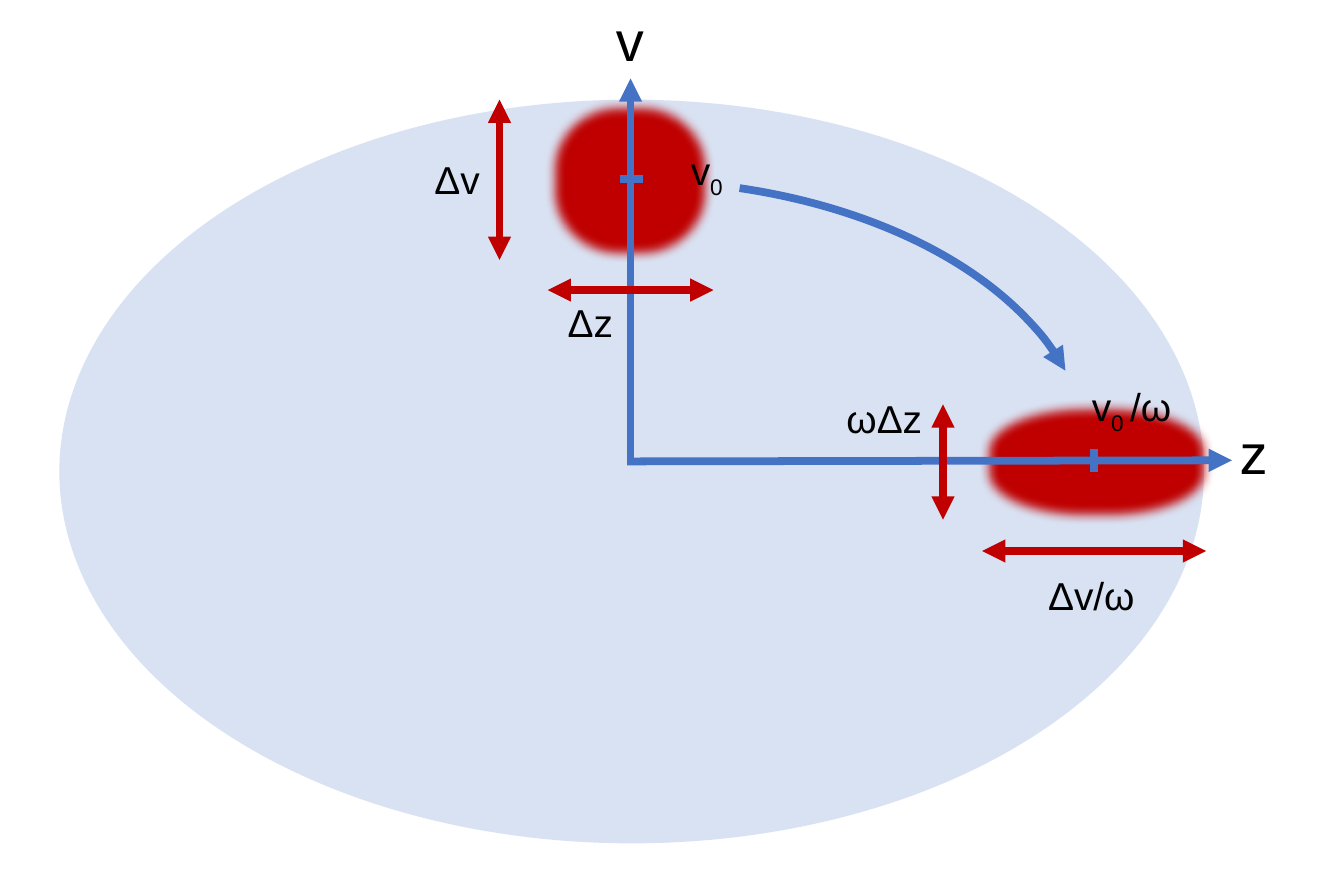
"""Phase-space slide: a particle cloud turning from the v axis to the z axis."""
from lxml import etree
from pptx import Presentation
from pptx.dml.color import RGBColor
from pptx.enum.shapes import MSO_CONNECTOR, MSO_SHAPE
from pptx.oxml.ns import qn
from pptx.util import Inches, Pt

COLUMNS, ROWS = 12, 8
BLUE, RED, BLACK = "4472C4", "C00000", "000000"
LINE_WIDTH = 5
GLOW = 0.2
ARC_UNITS_PER_DEGREE = 0.6


def color(hex_string):
    """Turn a hex string into a colour."""
    return RGBColor.from_string(hex_string)


def cells(*counts):
    """Turn counts of one-inch grid cells into lengths."""
    return [Inches(count) for count in counts]


def add_child(parent, tag, **attributes):
    """Append a DrawingML element and return it."""
    return etree.SubElement(parent, qn(tag), attributes)


def style_line(line, hex_string, ends):
    """Set colour, width and triangular arrowheads of a line."""
    line.color.rgb = color(hex_string)
    line.width = Pt(LINE_WIDTH)
    for end in ends:
        add_child(line._get_or_add_ln(), f"a:{end}End", type="triangle")


def add_ellipse(slide, box, hex_string, opacity=None, glow=None):
    """Draw a borderless ellipse, optionally see-through or glowing."""
    shape = slide.shapes.add_shape(MSO_SHAPE.OVAL, *cells(*box))
    shape.fill.solid()
    shape.fill.fore_color.rgb = color(hex_string)
    shape.line.fill.background()
    shape.shadow.inherit = False
    properties = shape._element.spPr
    if opacity:
        fill = properties.find(f"{qn('a:solidFill')}/{qn('a:srgbClr')}")
        add_child(fill, "a:alpha", val=str(opacity * 1000))
    if glow:
        effects = properties.find(qn("a:effectLst"))
        halo = add_child(effects, "a:glow", rad=str(Inches(glow)))
        add_child(halo, "a:srgbClr", val=hex_string)


def add_arc_arrow(slide, box, start, end, hex_string):
    """Draw an arc between two angles in degrees, with an arrowhead at its end."""
    arc = slide.shapes.add_shape(MSO_SHAPE.ARC, *cells(*box))
    for index, angle in enumerate((start, end)):
        arc.adjustments[index] = angle * ARC_UNITS_PER_DEGREE
    arc.fill.background()
    style_line(arc.line, hex_string, ["tail"])
    arc.shadow.inherit = False


def add_line(slide, start, end, hex_string, ends=()):
    """Draw a straight line with the named arrowheads."""
    line = slide.shapes.add_connector(MSO_CONNECTOR.STRAIGHT, *cells(*start, *end))
    style_line(line.line, hex_string, ends)
    add_child(line._element.spPr, "a:effectLst")


def add_label(slide, box, parts, size, wrap=True):
    """Write a label whose every second part is a subscript."""
    frame = slide.shapes.add_textbox(*cells(*box)).text_frame
    frame.word_wrap = wrap
    for index, part in enumerate(parts):
        run = frame.paragraphs[0].add_run()
        run.text = part
        run.font.size = Pt(size)
        run.font.name = "Arial"
        run.font.color.rgb = color(BLACK)
        if index % 2:
            run._r.get_or_add_rPr().set("baseline", "-25000")


def main():
    """Build and save the slide."""
    deck = Presentation()
    deck.slide_width, deck.slide_height = cells(COLUMNS, ROWS)
    slide = deck.slides.add_slide(deck.slide_layouts[6])

    add_ellipse(slide, (0.53, 0.89, 10.22, 6.64), BLUE, opacity=20)
    for cloud in ((8.94, 3.76, 1.7, 0.73), (5.06, 1.07, 1.13, 1.08)):
        add_ellipse(slide, cloud, RED, glow=GLOW)
    add_arc_arrow(slide, (1.56, 1.61, 8.17, 5.01), 291.5, 348.24, BLUE)

    spread_v, spread_z = ((4.46, 0.89), (4.46, 2.32)), ((6.37, 2.59), (4.89, 2.59))
    turned_v, turned_z = ((10.77, 4.92), (8.77, 4.92)), ((8.42, 3.61), (8.42, 4.64))
    axis_v, axis_z = ((5.63, 4.15), (5.63, 0.7)), ((5.6, 4.12), (11, 4.11))
    tick_v, tick_z = ((5.54, 1.6), (5.74, 1.6)), ((9.77, 4.01), (9.77, 4.21))
    for lines, hex_string, ends in (
        ((spread_v, turned_v), RED, ("head", "tail")),
        ((axis_v, axis_z), BLUE, ("tail",)),
        ((spread_z, turned_z), RED, ("head", "tail")),
        ((tick_v, tick_z), BLUE, ()),
    ):
        for start, end in lines:
            add_line(slide, start, end, hex_string, ends)

    for left, top, name in ((10.97, 3.69, "z"), (5.4, 0, "v")):
        add_label(slide, (left, top, 0.45, 0.71), [name], 36, wrap=False)
    for left, top, width, parts in (
        (3.78, 1.34, 0.84, ["Δv"]),
        (4.97, 2.62, 0.84, ["Δz"]),
        (7.46, 3.47, 1.16, ["ωΔz"]),
        (9.26, 5.05, 1.5, ["Δv/ω"]),
        (9.65, 3.37, 1.25, ["v", "0 ", "/ω"]),
        (6.07, 1.26, 0.84, ["v", "0"]),
    ):
        add_label(slide, (left, top, width, 0.52), parts, 25)

    deck.save("out.pptx")


main()
